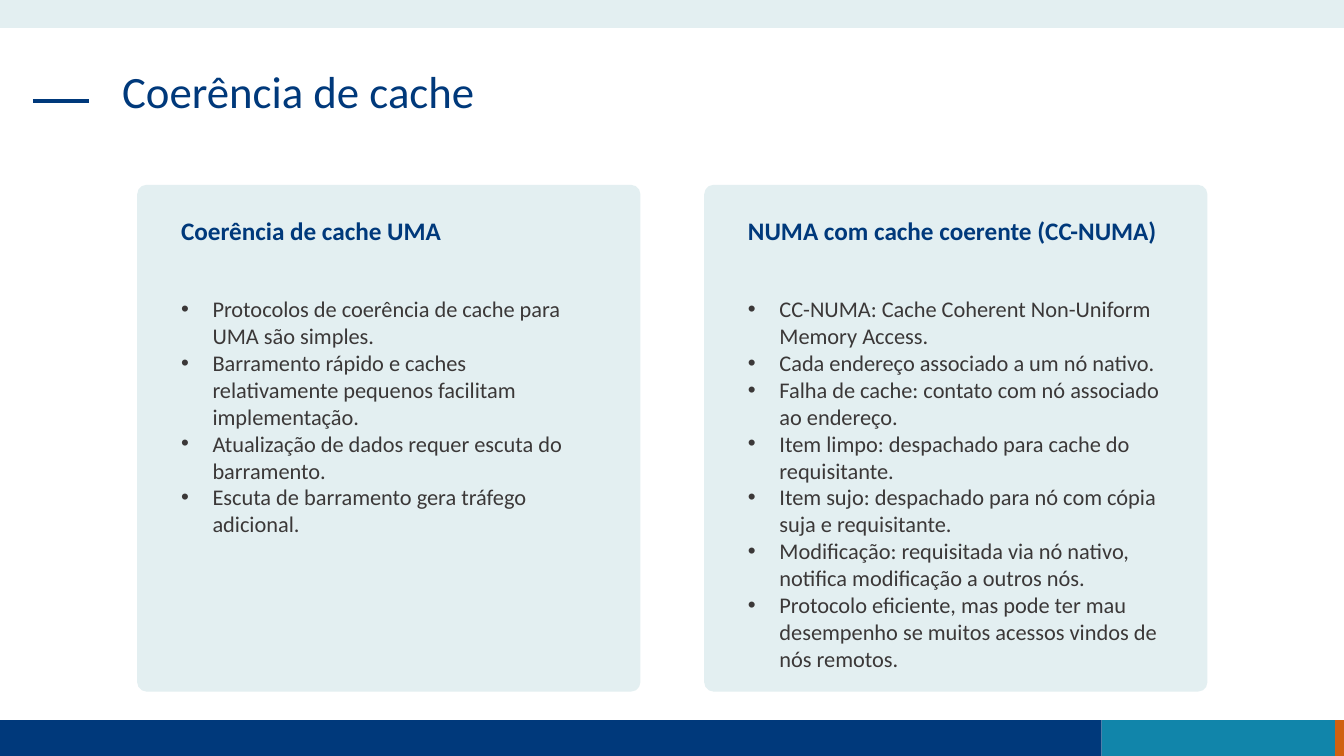
from lxml.etree import SubElement
from pptx import Presentation
from pptx.dml.color import RGBColor
from pptx.enum.shapes import MSO_CONNECTOR, MSO_SHAPE
from pptx.enum.text import MSO_ANCHOR, MSO_AUTO_SIZE, PP_ALIGN
from pptx.oxml.ns import qn
from pptx.util import Pt

# Content
TITLE = "Coerência de cache"
CARDS = [
    ("Coerência de cache UMA", [
        "Protocolos de coerência de cache para UMA são simples.",
        "Barramento rápido e caches relativamente pequenos facilitam implementação.",
        "Atualização de dados requer escuta do barramento.",
        "Escuta de barramento gera tráfego adicional.",
    ], 311, 181.5),
    ("NUMA com cache coerente (CC-NUMA)", [
        "CC-NUMA: Cache Coherent Non-Uniform Memory Access.",
        "Cada endereço associado a um nó nativo.",
        "Falha de cache: contato com nó associado ao endereço.",
        "Item limpo: despachado para cache do requisitante.",
        "Item sujo: despachado para nó com cópia suja e requisitante.",
        "Modificação: requisitada via nó nativo, notifica modificação a outros nós.",
        "Protocolo eficiente, mas pode ter mau desempenho se muitos acessos "
        "vindos de nós remotos.",
    ], 327, 278.5),
]  # heading, bullets, width and height of the bullet box

# Style
FONT = "Calibri"
NAVY = RGBColor(0x00, 0x39, 0x7B)
TEAL = RGBColor(0x11, 0x85, 0xAA)
ORANGE = RGBColor(0xD0, 0x61, 0x10)
PALE = RGBColor(0xE3, 0xEF, 0xF1)
GRAY = RGBColor(0x3B, 0x38, 0x38)

# Layout in points
WIDTH, HEIGHT = 960, 540
FOOTER_TOP = 514.5
CARD_LEFT, CARD_TOP, CARD_WIDTH, CARD_HEIGHT = 98, 132, 359.5, 362
CARD_STEP = 405
TEXT_INSET = 24.2
HEADING_TOP, BULLETS_TOP = 150.5, 207.5
INDENT = 22.5


def add_block(slide, kind, left, top, width, height, color):
    shape = slide.shapes.add_shape(kind, Pt(left), Pt(top), Pt(width), Pt(height))
    shape.shadow.inherit = False
    shape.fill.solid()
    shape.fill.fore_color.rgb = color
    shape.line.fill.background()
    return shape


def add_run(paragraph, text, size, color, bold=False):
    run = paragraph.add_run()
    run.text = text
    run.font.name = FONT
    run.font.size = Pt(size)
    run.font.bold = bold
    run.font.color.rgb = color


def add_text_frame(slide, left, top, width, height):
    box = slide.shapes.add_textbox(Pt(left), Pt(top), Pt(width), Pt(height))
    box.text_frame.word_wrap = True
    return box.text_frame


def add_bullet(paragraph):
    properties = paragraph._p.get_or_add_pPr()
    properties.set("marL", str(Pt(INDENT)))
    properties.set("indent", str(-Pt(INDENT)))
    SubElement(properties, qn("a:buFont")).set("typeface", "Arial")
    SubElement(properties, qn("a:buChar")).set("char", "•")


def add_card(slide, left, heading, bullets, width, height):
    card = add_block(slide, MSO_SHAPE.ROUNDED_RECTANGLE, left, CARD_TOP,
                     CARD_WIDTH, CARD_HEIGHT, PALE)
    card.adjustments[0] = 0.019
    text_left = left + TEXT_INSET
    frame = add_text_frame(slide, text_left, HEADING_TOP, 311, 29)
    add_run(frame.paragraphs[0], heading, 18, NAVY, True)
    frame = add_text_frame(slide, text_left, BULLETS_TOP, width, height)
    for index, text in enumerate(bullets):
        paragraph = frame.add_paragraph() if index else frame.paragraphs[0]
        add_bullet(paragraph)
        add_run(paragraph, text, 16, GRAY)


def main():
    presentation = Presentation()
    presentation.slide_width, presentation.slide_height = Pt(WIDTH), Pt(HEIGHT)
    slide = presentation.slides.add_slide(presentation.slide_layouts[5])

    # Header and footer bands
    footer_height = HEIGHT - FOOTER_TOP
    for left, top, width, height, color in [
        (930, FOOTER_TOP, 30, footer_height, ORANGE),
        (0, FOOTER_TOP, 787, footer_height, NAVY),
        (787, FOOTER_TOP, 166.5, footer_height, TEAL),
        (0, 0, WIDTH, 20, PALE),
    ]:
        add_block(slide, MSO_SHAPE.RECTANGLE, left, top, width, height, color)

    # Title with its dash
    dash = slide.shapes.add_connector(MSO_CONNECTOR.STRAIGHT,
                                      Pt(23.5), Pt(72), Pt(63.5), Pt(72))
    dash.line.color.rgb = NAVY
    dash.line.width = Pt(3)
    SubElement(dash._element.spPr, qn("a:effectLst"))
    title = slide.shapes.title
    title.left, title.top, title.width, title.height = Pt(80), Pt(46), Pt(799), Pt(68)
    frame = title.text_frame
    frame.auto_size = MSO_AUTO_SIZE.NONE
    frame.vertical_anchor = MSO_ANCHOR.TOP
    paragraph = frame.paragraphs[0]
    paragraph.alignment = PP_ALIGN.LEFT
    paragraph.line_spacing = 0.9
    add_run(paragraph, TITLE, 32, NAVY)

    # Cards
    for index, card in enumerate(CARDS):
        add_card(slide, CARD_LEFT + index * CARD_STEP, *card)

    presentation.save("out.pptx")


if __name__ == "__main__":
    main()
